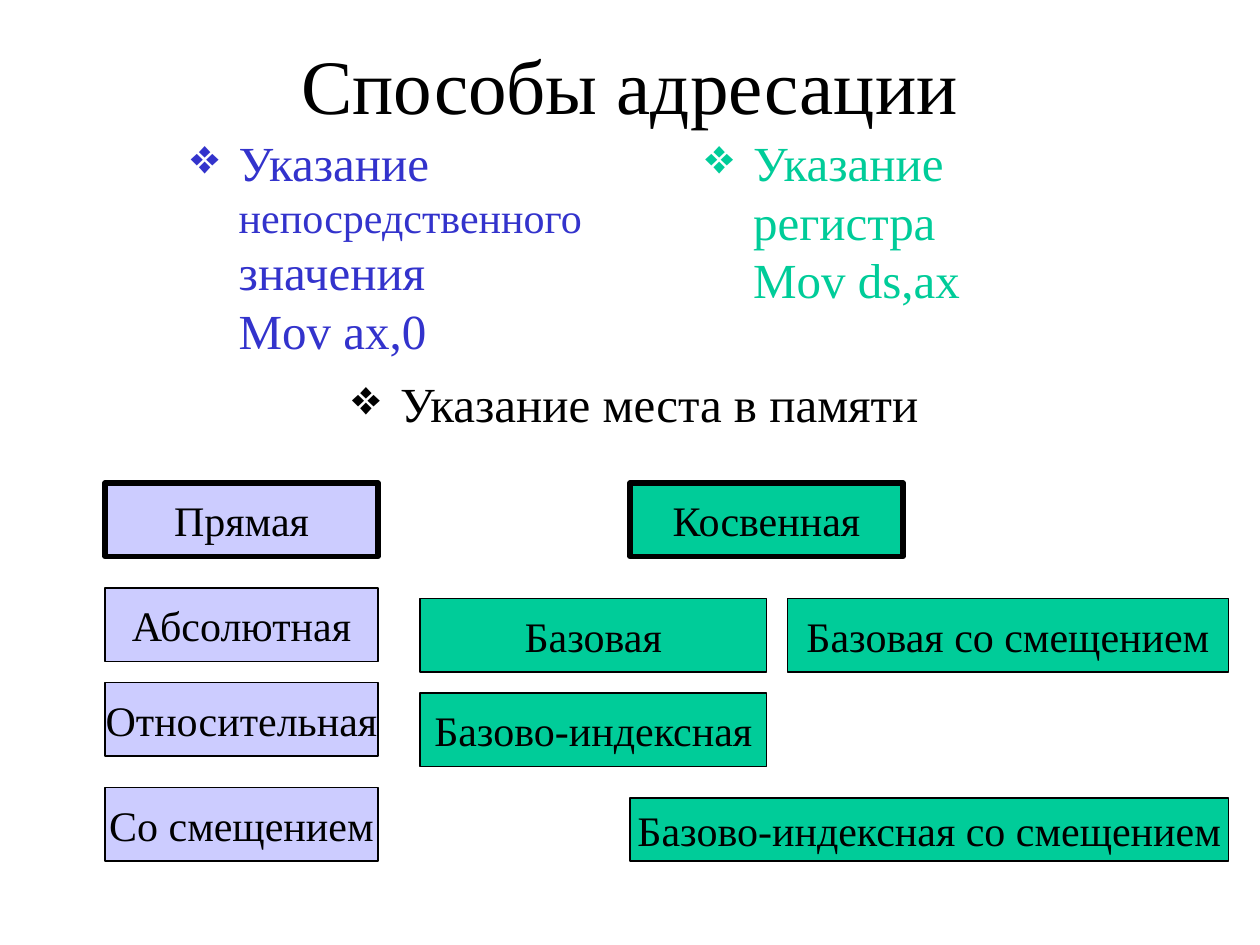
from dataclasses import dataclass
from typing import NamedTuple

from lxml import etree
from pptx import Presentation
from pptx import util as u
from pptx.dml.color import RGBColor
from pptx.enum import shapes, text
from pptx.oxml import ns

UNIT = u.Inches(1) // 12  # grid step: 120 columns by 90 rows


@dataclass(frozen=True)
class Theme:
    font: str = "Times New Roman"
    black: str = "000000"
    blue: str = "3333CC"
    green: str = "00CC99"
    lilac: str = "CCCCFF"
    title: int = 44
    body: int = 28
    small: int = 24
    thick: float = 3
    thin: float = 0.75
    indent: float = 0.38


class Area(NamedTuple):
    col: int
    row: int
    wide: int
    high: int


class Part(NamedTuple):
    words: str
    size: int


class Note(NamedTuple):
    area: Area
    lines: list[list[Part]]
    color: str
    align: text.PP_ALIGN = text.PP_ALIGN.LEFT


class Box(NamedTuple):
    label: str
    area: Area
    fill: str
    line: float = 0.75


T = Theme()
deck = Presentation()
deck.slide_width, deck.slide_height = 120 * UNIT, 90 * UNIT
slide = deck.slides.add_slide(deck.slide_layouts[6])


def place(area: Area) -> list[int]:
    return [n * UNIT for n in area]


def style(run, size: int, color: str) -> None:
    run.font.name = T.font
    run.font.size = u.Pt(size)
    run.font.color.rgb = RGBColor.from_string(color)


def bullet(para) -> None:
    props = para._p.get_or_add_pPr()
    step = u.Inches(T.indent)
    props.set("marL", str(step))
    props.set("indent", str(-step))
    mark = etree.SubElement(props, ns.qn("a:buChar"))
    mark.set("char", "❖")


def write(note: Note, listed: bool = True):
    frame = slide.shapes.add_textbox(*place(note.area)).text_frame
    frame.word_wrap = True
    para = frame.paragraphs[0]
    para.alignment = note.align
    for i, line in enumerate(note.lines):
        if i:
            para.add_line_break()
        for part in line:
            run = para.add_run()
            run.text = part.words
            style(run, part.size, note.color)
    if listed:
        para.space_before = u.Pt(T.body * 0.2)
        bullet(para)
    return frame


def draw(box: Box) -> None:
    shape = slide.shapes.add_shape(shapes.MSO_SHAPE.RECTANGLE, *place(box.area))
    shape.shadow.inherit = False
    shape.fill.solid()
    shape.fill.fore_color.rgb = RGBColor.from_string(box.fill)
    shape.line.color.rgb = RGBColor.from_string(T.black)
    shape.line.width = u.Pt(box.line)
    frame = shape.text_frame
    frame.word_wrap = False
    frame.vertical_anchor = text.MSO_ANCHOR.MIDDLE
    frame.text = box.label
    para = frame.paragraphs[0]
    para.alignment = text.PP_ALIGN.CENTER
    style(para.runs[0], T.small, T.black)


# Title
head = write(Note(Area(9, 4, 102, 8), [[Part("Способы адресации", T.title)]],
                  T.black, text.PP_ALIGN.CENTER), listed=False)
head.vertical_anchor = text.MSO_ANCHOR.MIDDLE

# Ways of giving an operand
notes = [
    Note(Area(17, 12, 41, 24),
         [[Part("Указание ", T.body), Part("непосредственного ", T.small),
           Part("значения", T.body)], [Part("Mov ax,0", T.body)]], T.blue),
    Note(Area(66, 12, 31, 20),
         [[Part("Указание регистра", T.body)], [Part("Mov ds,ax", T.body)]],
         T.green),
    Note(Area(8, 35, 105, 34), [[Part("Указание места в памяти", T.body)]],
         T.black, text.PP_ALIGN.CENTER),
]
for note in notes:
    write(note)

# Direct and indirect memory addressing
boxes = [
    Box("Прямая", Area(10, 46, 26, 7), T.lilac, T.thick),
    Box("Косвенная", Area(60, 46, 26, 7), T.green, T.thick),
    Box("Абсолютная", Area(10, 56, 26, 7), T.lilac, T.thin),
    Box("Относительная", Area(10, 65, 26, 7), T.lilac, T.thin),
    Box("Со смещением", Area(10, 75, 26, 7), T.lilac, T.thin),
    Box("Базовая", Area(40, 57, 33, 7), T.green, T.thin),
    Box("Базовая со смещением", Area(75, 57, 42, 7), T.green, T.thin),
    Box("Базово-индексная", Area(40, 66, 33, 7), T.green, T.thin),
    Box("Базово-индексная со смещением", Area(60, 76, 57, 6), T.green, T.thin),
]
for box in boxes:
    draw(box)

deck.save("out.pptx")
